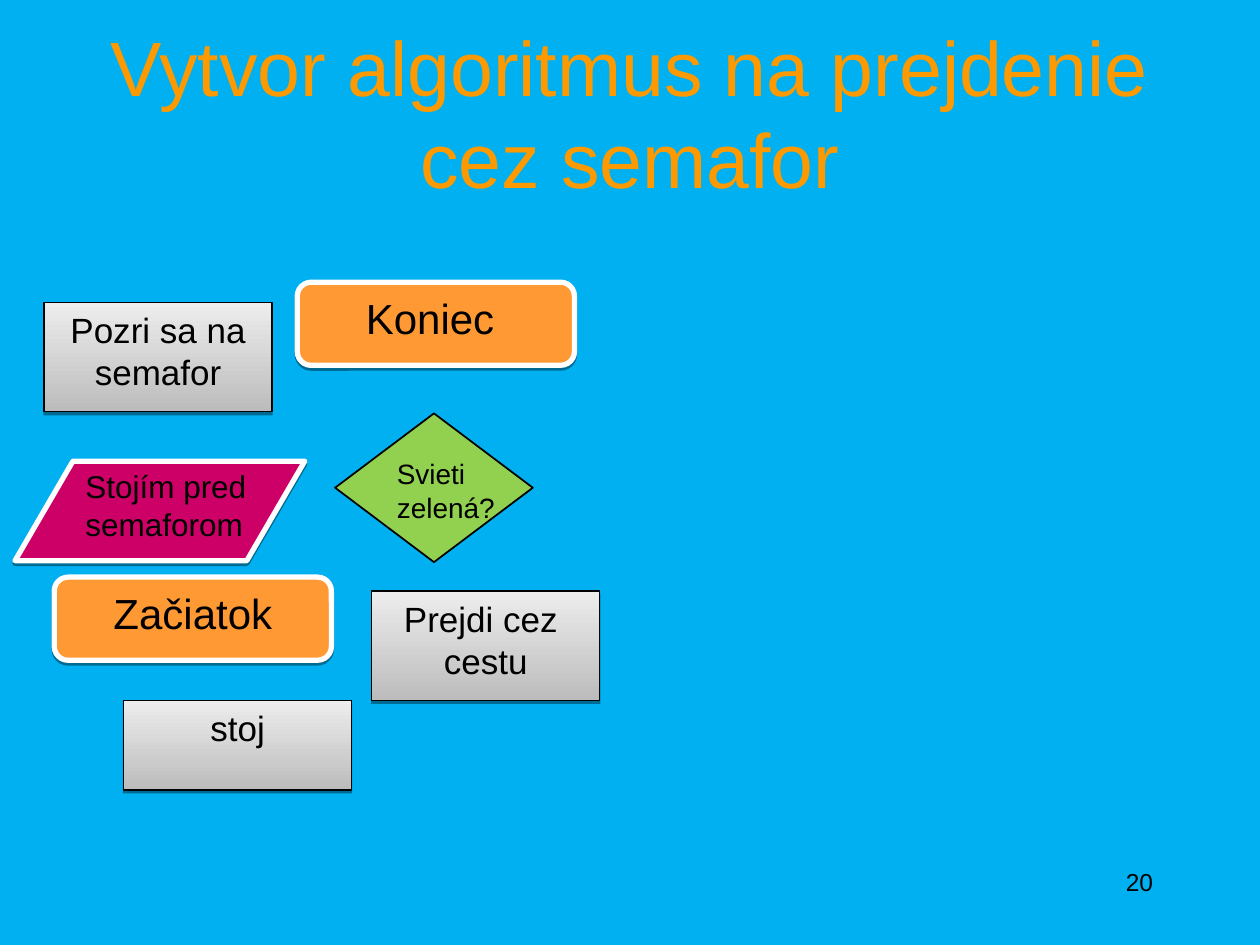
from dataclasses import dataclass

from lxml import etree
from pptx import Presentation
from pptx.dml.color import RGBColor
from pptx.enum import shapes, text
from pptx.oxml import ns
from pptx.util import Pt

HUES = {
    "sky": "00B0F0", "title": "FF9900", "end": "FF9933", "input": "CC0066",
    "test": "92D050", "dark": "BCBCBC", "light": "EDEDED",
    "black": "000000", "white": "FFFFFF",
}
KIND = shapes.MSO_SHAPE
SIDE = text.PP_ALIGN


@dataclass(frozen=True)
class Style:
    """Look shared by all steps of one kind."""
    kind: int
    fill: str
    line: str
    width: float
    size: float
    align: int = SIDE.CENTER
    shade: bool = True


@dataclass(frozen=True)
class Step:
    """One flowchart block, placed in points."""
    style: Style
    words: str
    left: float
    top: float
    wide: float
    high: float


END = Style(KIND.ROUNDED_RECTANGLE, "end", "white", 3, 24)
INPUT = Style(KIND.FLOWCHART_DATA, "input", "white", 3, 18, SIDE.LEFT)
ACT = Style(KIND.RECTANGLE, "", "black", 0.75, 20)
TEST = Style(KIND.FLOWCHART_DECISION, "test", "black", 1, 16, SIDE.LEFT, False)

STEPS = [
    Step(END, "Začiatok", 31, 329.8, 158.4, 47.5),
    Step(INPUT, "Stojím pred\nsemaforom", 8.6, 263.5, 165.6, 56.9),
    Step(ACT, "Pozri sa na\nsemafor", 25.2, 172.8, 130.3, 62.6),
    Step(TEST, "Svieti\nzelená?", 191.5, 236.2, 113, 85),
    Step(ACT, "Prejdi cez \ncestu", 212.4, 337.7, 130.3, 62.6),
    Step(ACT, "stoj", 70.6, 400.3, 130.3, 51.1),
    Step(END, "Koniec ", 169.9, 161.3, 158.4, 47.5),
]


def tint(name: str) -> RGBColor:
    """Look up a named colour."""
    return RGBColor.from_string(HUES[name])


def write(shape, words: str, size: float, hue: str, align: int,
          anchor: int = text.MSO_ANCHOR.TOP, wrap: bool = True) -> None:
    """Fill a shape with evenly formatted text."""
    frame = shape.text_frame
    frame.text = words
    frame.word_wrap = wrap
    frame.vertical_anchor = anchor
    for para in frame.paragraphs:
        para.alignment = align
        for run in para.runs:
            run.font.name = "Arial"
            run.font.size = Pt(size)
            run.font.color.rgb = tint(hue)


def shade(shape) -> None:
    """Add a thin hard shadow straight below a shape."""
    effects = shape._element.spPr.find(ns.qn("a:effectLst"))
    outer = etree.SubElement(effects, ns.qn("a:outerShdw"), blurRad="0",
                             dist=str(Pt(1.6)), dir="5400000", rotWithShape="0")
    color = etree.SubElement(outer, ns.qn("a:srgbClr"), val=HUES["black"])
    etree.SubElement(color, ns.qn("a:alpha"), val="38000")


def draw(slide, step: Step) -> None:
    """Draw one flowchart block."""
    style = step.style
    shape = slide.shapes.add_shape(style.kind, Pt(step.left), Pt(step.top),
                                   Pt(step.wide), Pt(step.high))
    if style.fill:
        shape.fill.solid()
        shape.fill.fore_color.rgb = tint(style.fill)
    else:
        shape.fill.gradient()
        shape.fill.gradient_angle = 90
        for stop, hue, spot in zip(shape.fill.gradient_stops, ("dark", "light"), (0, 1)):
            stop.color.rgb = tint(hue)
            stop.position = spot
    shape.line.color.rgb = tint(style.line)
    shape.line.width = Pt(style.width)
    shape.shadow.inherit = False
    if style.shade:
        shade(shape)
    write(shape, step.words, style.size, "black", style.align, wrap=False)


def main() -> None:
    """Build the slide and save it."""
    deck = Presentation()
    deck.slide_width, deck.slide_height = Pt(720), Pt(540)
    slide = deck.slides.add_slide(deck.slide_layouts[6])
    slide.background.fill.solid()
    slide.background.fill.fore_color.rgb = tint("sky")
    title = slide.shapes.add_textbox(Pt(54), Pt(18), Pt(612), Pt(102.2))
    write(title, "Vytvor algoritmus na prejdenie cez semafor", 44, "title",
          SIDE.CENTER, text.MSO_ANCHOR.BOTTOM)
    for step in STEPS:
        draw(slide, step)
    number = slide.shapes.add_textbox(Pt(516.2), Pt(491.8), Pt(149.8), Pt(36))
    write(number, "20", 14, "black", SIDE.RIGHT)
    deck.save("out.pptx")


if __name__ == "__main__":
    main()
